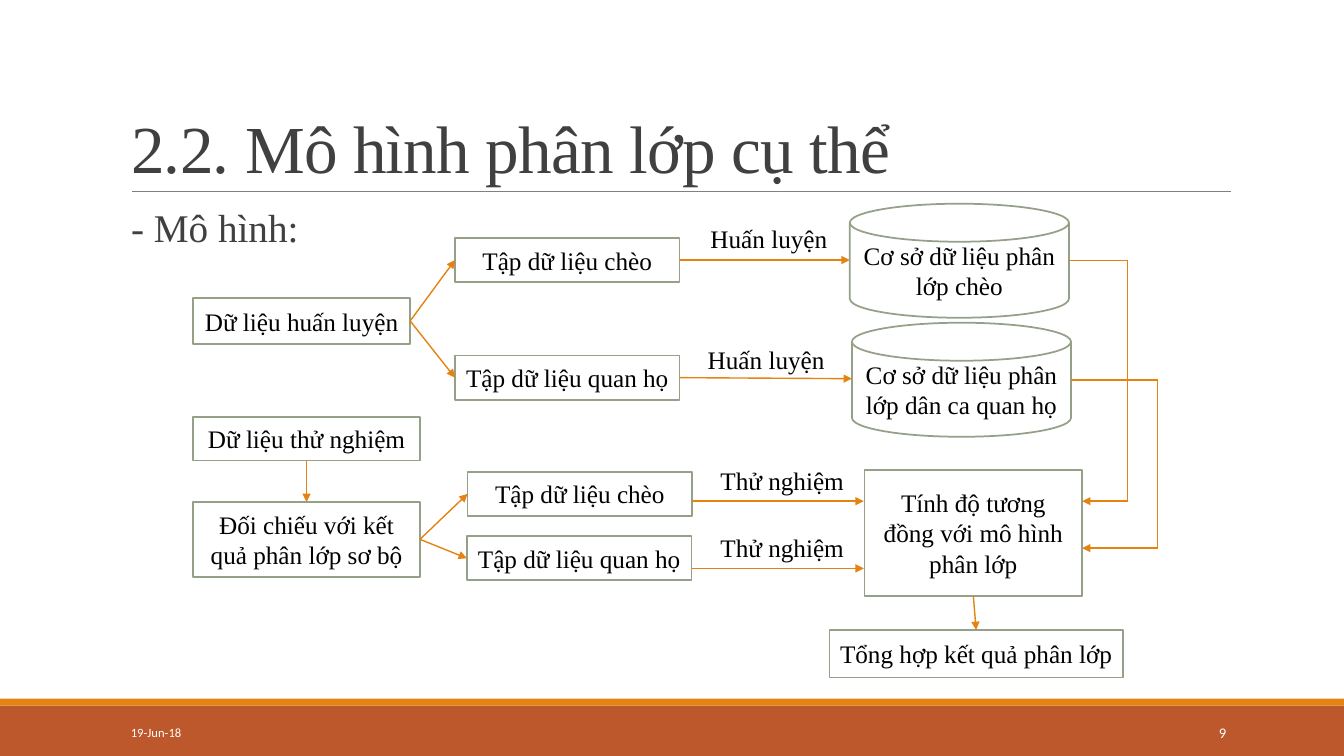
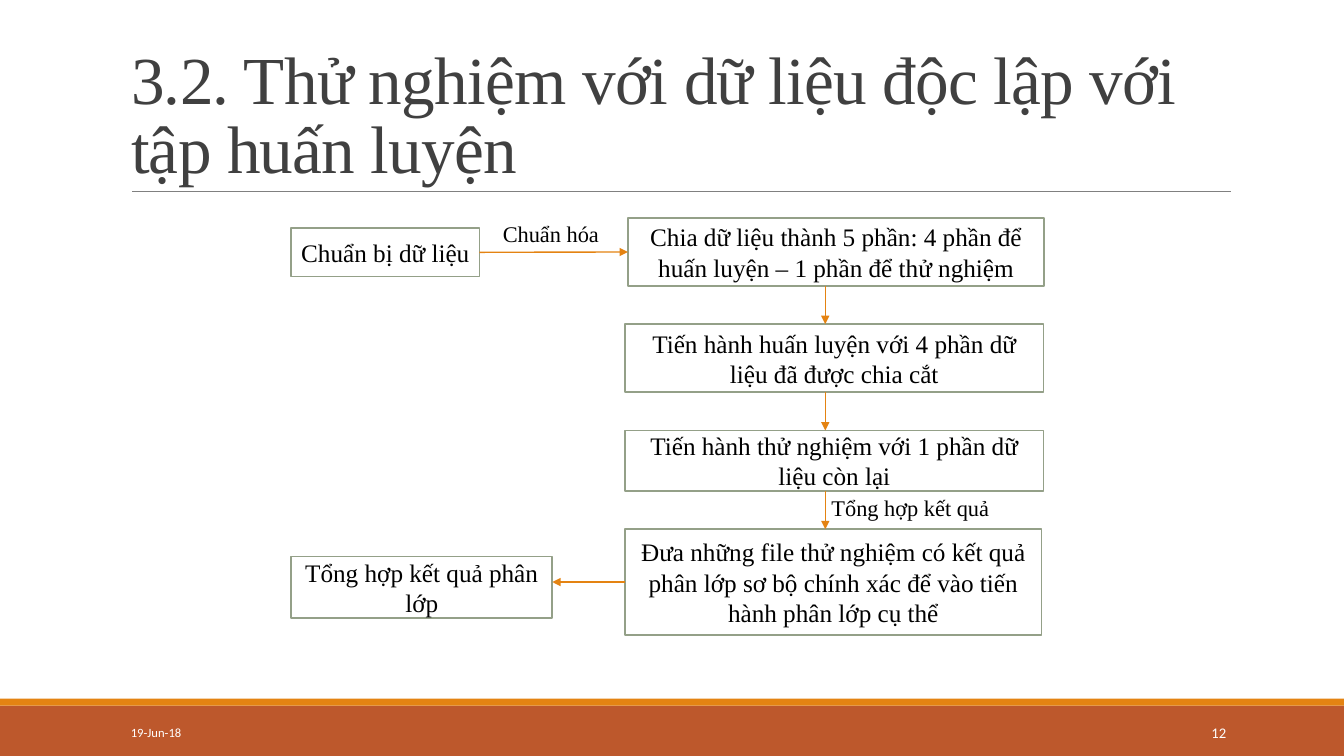
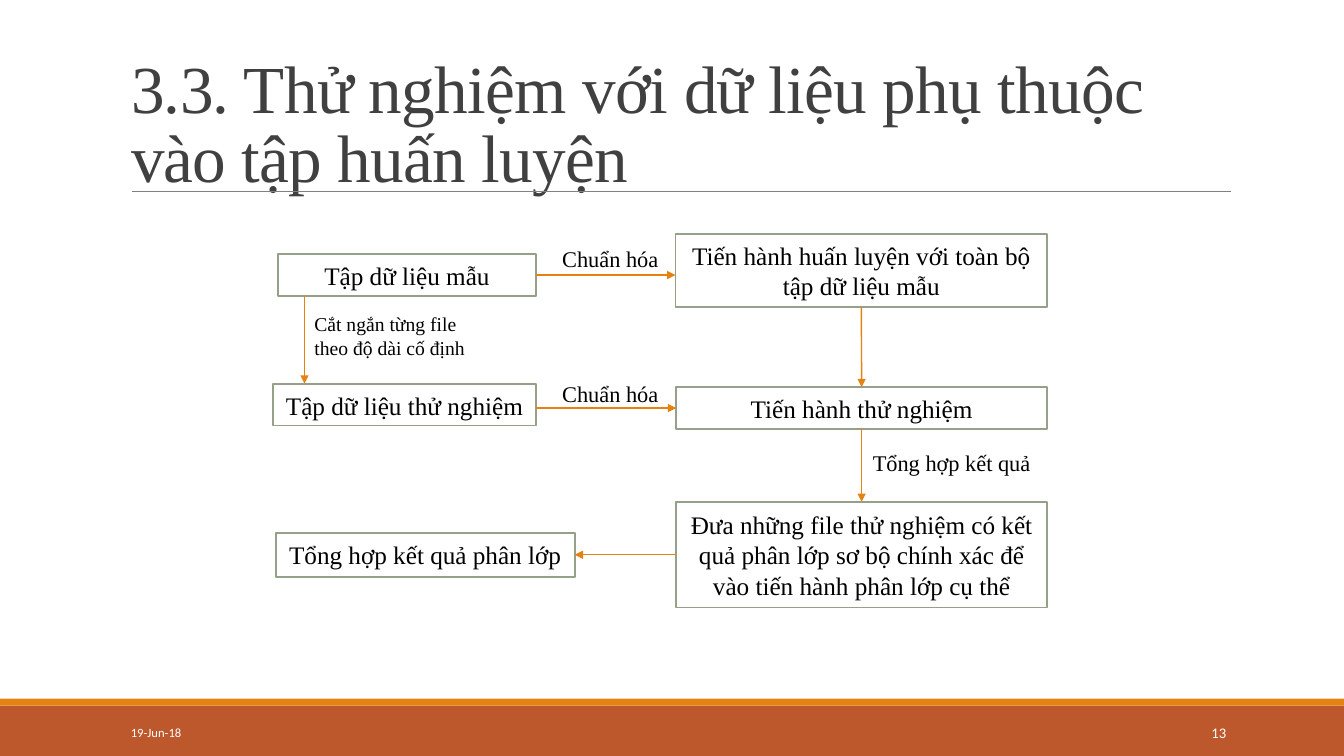
from dataclasses import dataclass

from lxml import etree
from pptx import Presentation
from pptx import util as u
from pptx.dml.color import RGBColor
from pptx.enum import shapes, text
from pptx.oxml.ns import qn

Pt = u.Pt
TOP, LEFT, BOTTOM, RIGHT = range(4)
RECTANGLE = shapes.MSO_SHAPE.RECTANGLE
CYLINDER = shapes.MSO_SHAPE.FLOWCHART_MAGNETIC_DISK
CENTER, START, END = text.PP_ALIGN.CENTER, text.PP_ALIGN.LEFT, text.PP_ALIGN.RIGHT


@dataclass(frozen=True)
class Theme:
    accent: str = "E48312"
    band: str = "BD582C"
    border: str = "94A088"
    rule: str = "808080"
    heading: str = "404040"
    ink: str = "000000"
    paper: str = "FFFFFF"
    font: str = "Times New Roman"
    footer_font: str = "Calibri"
    title_size: float = 48
    body_size: float = 28
    box_size: float = 18
    label_size: float = 16
    note_size: float = 14
    date_size: float = 9
    number_size: float = 10.5


THEME = Theme()


def color(value):
    return RGBColor.from_string(value)


def place(shape, left, top, width, height):
    shape.left, shape.top = Pt(left), Pt(top)
    shape.width, shape.height = Pt(width), Pt(height)


def write(shape, words, size, ink=THEME.ink, font=THEME.font, align=CENTER,
          anchor=text.MSO_ANCHOR.MIDDLE):
    frame = shape.text_frame
    frame.word_wrap = True
    frame.vertical_anchor = anchor
    frame.text = words
    paragraph = frame.paragraphs[0]
    paragraph.alignment = align
    paragraph.font.name = font
    paragraph.font.size = Pt(size)
    paragraph.font.color.rgb = color(ink)
    return paragraph


def add_panel(slide, bounds, fill, kind=RECTANGLE):
    shape = slide.shapes.add_shape(kind, *map(Pt, bounds))
    shape.shadow.inherit = False
    shape.fill.solid()
    shape.fill.fore_color.rgb = color(fill)
    shape.line.fill.background()
    return shape


def add_box(slide, words, *bounds, kind=RECTANGLE):
    shape = add_panel(slide, bounds, THEME.paper, kind)
    shape.line.color.rgb = color(THEME.border)
    shape.line.width = Pt(1.25)
    write(shape, words, THEME.box_size)
    return shape


def add_label(slide, words, *bounds, size=THEME.label_size, align=CENTER):
    label = slide.shapes.add_textbox(*map(Pt, bounds))
    write(label, words, size, align=align, anchor=text.MSO_ANCHOR.TOP)
    label.text_frame.auto_size = text.MSO_AUTO_SIZE.SHAPE_TO_FIT_TEXT


def add_line(slide, start, end, ink=THEME.accent, width=1, arrow=False):
    connector = slide.shapes.add_connector(
        shapes.MSO_CONNECTOR.STRAIGHT, *start, *end)
    connector.line.color.rgb = color(ink)
    connector.line.width = Pt(width)
    if arrow:
        etree.SubElement(connector.get_or_add_ln(), qn("a:tailEnd"), type="triangle")
    etree.SubElement(connector.element.spPr, qn("a:effectLst"))
    return connector


def locate(stop):
    first, second = stop
    if isinstance(first, (int, float)):
        return Pt(first), Pt(second)
    across = {LEFT: 0, RIGHT: first.width}.get(second, first.width // 2)
    down = {TOP: 0, BOTTOM: first.height}.get(second, first.height // 2)
    return first.left + across, first.top + down


def add_route(slide, *stops):
    legs = list(zip(stops, stops[1:]))
    for index, (start, end) in enumerate(legs):
        connector = add_line(slide, locate(start), locate(end),
                             arrow=index == len(legs) - 1)
        if not isinstance(start[0], (int, float)):
            connector.begin_connect(*start)
        if not isinstance(end[0], (int, float)):
            connector.end_connect(*end)


def add_footer(slide, words, left, width, size, align):
    footer = slide.shapes.add_textbox(Pt(left), Pt(508.5), Pt(width), Pt(29))
    write(footer, words, size, THEME.paper, THEME.footer_font, align)


def add_slide(presentation, title, number, layout="Title Only", title_top=22.5):
    slide = presentation.slides.add_slide(
        presentation.slide_layouts.get_by_name(layout))
    heading = slide.shapes.title
    place(heading, 86.4, title_top, 792, 114.5)
    paragraph = write(heading, title, THEME.title_size, THEME.heading,
                      align=START, anchor=text.MSO_ANCHOR.BOTTOM)
    paragraph.line_spacing = 0.85
    heading.text_frame.auto_size = text.MSO_AUTO_SIZE.NONE
    for properties in heading.element.iter(qn("a:defRPr")):
        properties.set("spc", "-50")
    add_panel(slide, (0, 504, 960, 36), THEME.band)
    add_panel(slide, (0, 499, 960, 5), THEME.accent)
    add_line(slide, locate((94.5, 136.8)), locate((879, 136.8)), THEME.rule, 0.5)
    add_footer(slide, "19-Jun-18", 86.4, 194.5, THEME.date_size, START)
    add_footer(slide, number, 780, 103, THEME.number_size, END)
    return slide


def add_body(slide, words):
    body = slide.placeholders[1]
    place(body, 86.4, 145.5, 792, 317)
    paragraph = write(body, words, THEME.body_size, THEME.heading,
                      align=START, anchor=text.MSO_ANCHOR.TOP)
    paragraph.line_spacing = 0.9
    paragraph.space_before, paragraph.space_after = Pt(12), Pt(2)
    frame = body.text_frame
    frame.margin_left = frame.margin_right = 0
    frame.auto_size = text.MSO_AUTO_SIZE.NONE
    for properties in body.element.iter(qn("a:pPr")):
        properties.set("marL", str(Pt(7.2)))
        properties.set("indent", "0")
        properties.find(qn("a:defRPr")).addprevious(etree.Element(qn("a:buNone")))


def build_model(presentation):
    slide = add_slide(presentation, "2.2. Mô hình phân lớp cụ thể", "9",
                      "Title and Content")
    add_body(slide, "- Mô hình:")
    training = add_box(slide, "Dữ liệu huấn luyện", 138, 213, 155, 32.5)
    testing = add_box(slide, "Dữ liệu thử nghiệm", 138, 298, 162, 31)
    matching = add_box(slide, "Đối chiếu với kết quả phân lớp sơ bộ",
                       138, 358.5, 162, 53.5)
    cheo, quan_ho, cheo_test, quan_ho_test = [
        add_box(slide, words, left, top, 160.5, 31.5)
        for words, left, top in (
            ("Tập dữ liệu chèo", 325, 170),
            ("Tập dữ liệu quan họ", 325, 254),
            ("Tập dữ liệu chèo", 334, 337),
            ("Tập dữ liệu quan họ", 333.5, 383))]
    for words, left, top in (
            ("Cơ sở dữ liệu phân lớp chèo", 607, 145.5),
            ("Cơ sở dữ liệu phân lớp dân ca quan họ", 608.5, 230.5)):
        add_box(slide, words, left, top, 156.5, 81.5, kind=CYLINDER)
    similarity = add_box(slide, "Tính độ tương đồng với mô hình phân lớp",
                         617.5, 335.5, 155.5, 90)
    summary = add_box(slide, "Tổng hợp kết quả phân lớp", 592.5, 450, 209.5, 34)

    for words, left, top in (
            ("Huấn luyện", 483, 156), ("Huấn luyện", 481, 242.5),
            ("Thử nghiệm", 492.5, 329), ("Thử nghiệm", 492.5, 376.5)):
        add_label(slide, words, left, top, 132.5, 29, size=THEME.box_size)

    for source, targets in ((training, (cheo, quan_ho)),
                            (matching, (cheo_test, quan_ho_test))):
        for target in targets:
            add_route(slide, (source, RIGHT), (target, LEFT))
    add_route(slide, (cheo, RIGHT), (607, 185.75))
    add_route(slide, (quan_ho, RIGHT), (608.5, 270.5))
    add_route(slide, (testing, BOTTOM), (matching, TOP))
    for y in (358, 406):
        add_route(slide, (494.5, y), (617, y))
    add_route(slide, (763.5, 186), (805.5, 186), (805.5, 358), (773, 358))
    add_route(slide, (765, 271.5), (827, 271.5), (827, 391.5), (773, 391.5))
    add_route(slide, (similarity, BOTTOM), (summary, TOP))


def build_independent_test(presentation):
    slide = add_slide(
        presentation,
        "3.2. Thử nghiệm với dữ liệu độc lập với\vtập huấn luyện", "12")
    prepare = add_box(slide, "Chuẩn bị dữ liệu", 208, 163, 134.5, 34.5)
    split = add_box(
        slide, "Chia dữ liệu thành 5 phần: 4 phần để huấn luyện – 1 phần để thử nghiệm",
        448.5, 155.5, 297.5, 49)
    add_box(slide, "Tiến hành huấn luyện với 4 phần dữ liệu đã được chia cắt",
            446.5, 231.5, 299, 48.5)
    add_box(slide, "Tiến hành thử nghiệm với 1 phần dữ liệu còn lại",
            446.5, 307.5, 299, 43)
    files = add_box(
        slide, "Đưa những file thử nghiệm có kết quả phân lớp sơ bộ chính xác "
        "để vào tiến hành phân lớp cụ thể", 446.5, 378, 297.5, 75.5)
    add_box(slide, "Tổng hợp kết quả phân lớp", 208, 397.5, 186.5, 44)
    add_label(slide, "Chuẩn hóa", 324.5, 153.5, 138, 26.5)
    add_label(slide, "Tổng hợp kết quả", 571.5, 349.5, 157.5, 26.5)
    add_route(slide, (prepare, RIGHT), (split, LEFT))
    for top, bottom in ((204.5, 231.5), (280, 307.5), (350.5, 378)):
        add_route(slide, (589.5, top), (589.5, bottom))
    add_route(slide, (files, LEFT), (394.5, 415.75))


def build_dependent_test(presentation):
    slide = add_slide(
        presentation, "3.3. Thử nghiệm với dữ liệu phụ thuộc vào tập huấn luyện",
        "13", title_top=29)
    sample = add_box(slide, "Tập dữ liệu mẫu", 198.5, 181.5, 184.5, 30)
    training = add_box(slide, "Tiến hành huấn luyện với toàn bộ tập dữ liệu mẫu",
                       482.5, 167, 265.5, 52.5)
    add_box(slide, "Tập dữ liệu thử nghiệm", 195, 274.5, 188, 29.5)
    testing = add_box(slide, "Tiến hành thử nghiệm", 483, 276.5, 265, 30)
    files = add_box(
        slide, "Đưa những file thử nghiệm có kết quả phân lớp sơ bộ chính xác "
        "để vào tiến hành phân lớp cụ thể", 483, 358.5, 265, 75.5)
    summary = add_box(slide, "Tổng hợp kết quả phân lớp", 197, 380.5, 213.5, 31.5)
    for top in (171.5, 268):
        add_label(slide, "Chuẩn hóa", 394.5, top, 94.5, 26.5, align=START)
    add_label(slide, "Cắt ngắn từng file theo độ dài cố định",
              217.5, 219.5, 124.5, 41, size=THEME.note_size, align=START)
    add_label(slide, "Tổng hợp kết quả", 601, 317.5, 157.5, 26.5)
    add_route(slide, (sample, RIGHT), (482.5, 196.5))
    add_route(slide, (217.5, 211.5), (217.5, 274))
    add_route(slide, (383, 291.5), (testing, LEFT))
    add_route(slide, (training, BOTTOM), (testing, TOP))
    add_route(slide, (testing, BOTTOM), (files, TOP))
    add_route(slide, (files, LEFT), (summary, RIGHT))


def main():
    presentation = Presentation()
    presentation.slide_width, presentation.slide_height = Pt(960), Pt(540)
    build_model(presentation)
    build_independent_test(presentation)
    build_dependent_test(presentation)
    presentation.save("out.pptx")


if __name__ == "__main__":
    main()
